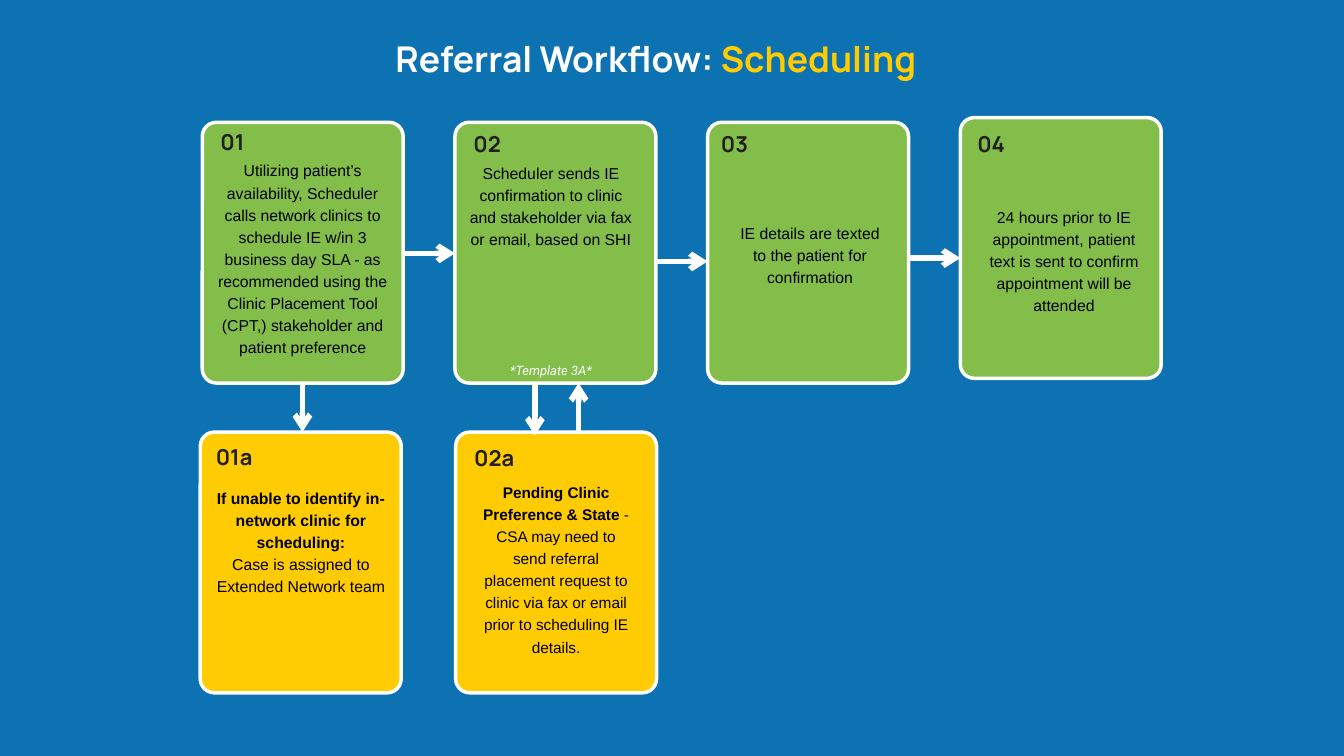
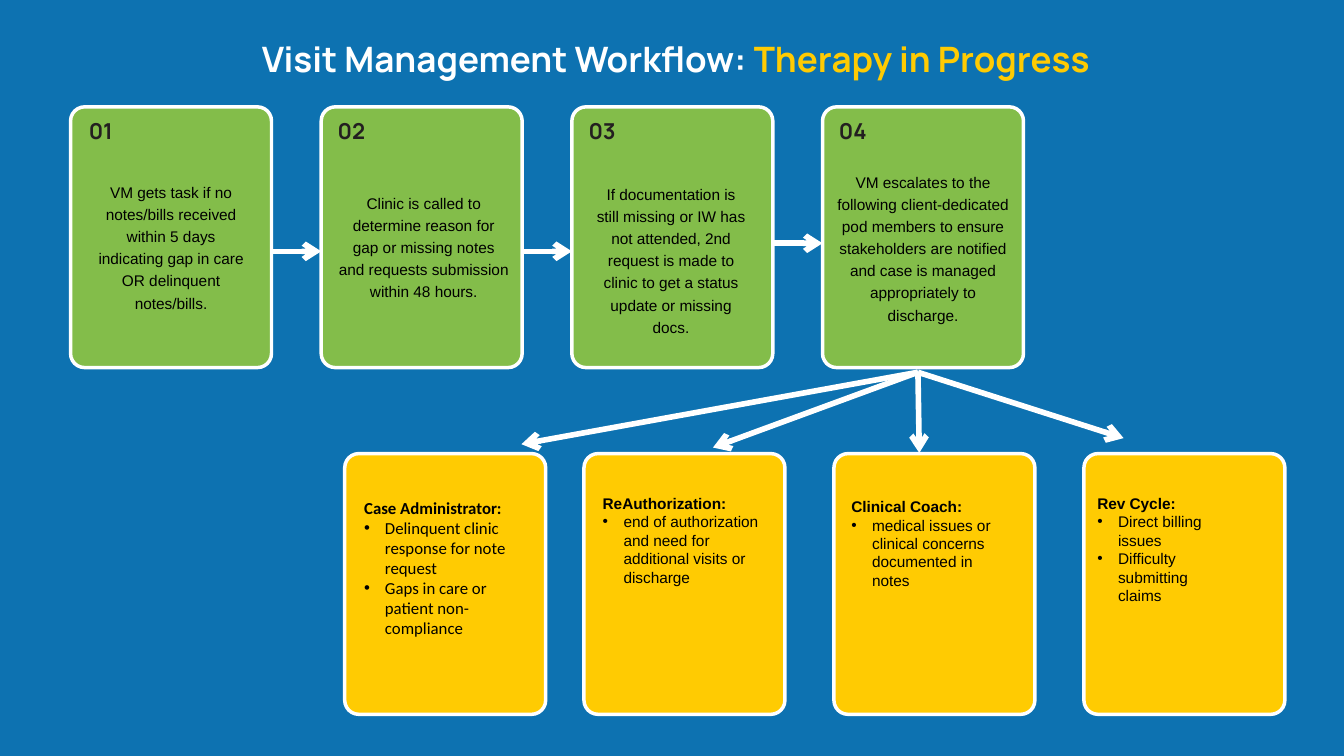
from dataclasses import dataclass

from lxml import etree
from pptx import Presentation
from pptx.dml.color import RGBColor
from pptx.enum.shapes import MSO_CONNECTOR, MSO_SHAPE
from pptx.enum.text import PP_ALIGN
from pptx.oxml.ns import qn
from pptx.util import Inches, Pt

ROUNDED = MSO_SHAPE.ROUNDED_RECTANGLE
STRAIGHT = MSO_CONNECTOR.STRAIGHT
LEFT, CENTER = PP_ALIGN.LEFT, PP_ALIGN.CENTER

SLIDE_W, SLIDE_H = 20, 11.25
CARD_W, CARD_H = 2.99, 3.88
CORNER = 0.07


@dataclass(frozen=True)
class Theme:
    blue: str = "0D72B1"
    green: str = "83BD4A"
    yellow: str = "FFCB02"
    white: str = "FFFFFF"
    black: str = "000000"
    ink: str = "231F20"
    display: str = "Manrope"
    body: str = "Arial"
    note: str = "Roboto"
    tag_size: float = 23.5
    tag_leading: float = 32.9
    step_size: float = 16.9
    small_size: float = 16.5
    body_leading: float = 23.7
    note_size: float = 13.9
    note_leading: float = 19.5
    title_leading: float = 53.2
    border: float = 3.75
    arrow: float = 6


T = Theme()


@dataclass(frozen=True)
class Row:
    """A row of cards with equal spacing."""
    left: float
    top: float
    pitch: float
    fill: str

    def x(self, col):
        return self.left + col * self.pitch


def rgb(value):
    return RGBColor.from_string(value)


def add_bullet(p, indent=0.31):
    pPr = p._p.get_or_add_pPr()
    pPr.set("marL", str(Inches(indent)))
    pPr.set("indent", str(-Inches(indent)))
    etree.SubElement(pPr, qn("a:buFont"), typeface="Arial")
    etree.SubElement(pPr, qn("a:buChar"), char="•")


def add_text(slide, x, y, w, h, paras, size=T.step_size, font=T.body,
             color=T.black, bold=False, italic=False, align=CENTER,
             leading=None, inset=True, bullets=False):
    """Each paragraph is a string or a list of (text, format changes)."""
    box = slide.shapes.add_textbox(Inches(x), Inches(y), Inches(w), Inches(h))
    tf = box.text_frame
    tf.word_wrap = True
    if not inset:
        tf.margin_left = tf.margin_right = tf.margin_top = tf.margin_bottom = 0
    for i, para in enumerate(paras):
        p = tf.paragraphs[0] if i == 0 else tf.add_paragraph()
        if bullets and i > 0:
            add_bullet(p)
        p.alignment = align
        if leading:
            p.line_spacing = Pt(leading)
        for text, change in [(para, {})] if isinstance(para, str) else para:
            r = p.add_run()
            r.text = text
            r.font.name = font
            r.font.size = Pt(size)
            r.font.bold = change.get("bold", bold)
            r.font.italic = italic
            r.font.color.rgb = rgb(change.get("color", color))


def add_title(slide, topic, stage, size, center):
    w = 0.9 * SLIDE_W
    add_text(slide, center - w / 2, 0.44, w, 0.71,
             [[(topic + ": ", {}), (stage, {"color": T.yellow})]],
             size=size, font=T.display, color=T.white, bold=True,
             leading=T.title_leading, inset=False)


def add_card(slide, row, col, dx=0, dy=0):
    """Draw a card and return its left and top."""
    x, y = row.x(col) + dx, row.top + dy
    sp = slide.shapes.add_shape(ROUNDED, Inches(x), Inches(y),
                                Inches(CARD_W), Inches(CARD_H))
    sp.adjustments[0] = CORNER
    sp.shadow.inherit = False
    sp.fill.solid()
    sp.fill.fore_color.rgb = rgb(row.fill)
    sp.line.color.rgb = rgb(T.white)
    sp.line.width = Pt(T.border)
    return x, y


def add_step(slide, row, col, tag, paras, at, lines, size=T.step_size,
             tag_at=(0.19, 0.1), tag_w=0.52, dy=0):
    """Numbered card; at is the text's left, top and width inside it."""
    x, y = add_card(slide, row, col, dy=dy)
    add_text(slide, x + tag_at[0], y + tag_at[1], tag_w, 0.46, [tag],
             size=T.tag_size, font=T.display, color=T.ink, bold=True,
             leading=T.tag_leading, inset=False)
    left, top, w = at
    add_text(slide, x + left, y + top, w, lines * T.body_leading / 72, paras,
             size=size, leading=T.body_leading, inset=False)


def add_team(slide, row, col, name, duties, at, dx=0, font=T.body,
             size=T.small_size):
    """Card with a bold heading and bulleted duties."""
    x, y = add_card(slide, row, col, dx=dx)
    left, top, w = at
    add_text(slide, x + left, y + top, w, 2.2,
             [[(name + ":", {"bold": True})], *duties],
             size=size, font=font, align=LEFT, bullets=True)


def add_arrow(slide, x1, y1, x2, y2):
    c = slide.shapes.add_connector(STRAIGHT, Inches(x1), Inches(y1),
                                   Inches(x2), Inches(y2))
    c.line.color.rgb = rgb(T.white)
    c.line.width = Pt(T.arrow)
    etree.SubElement(c.line._get_or_add_ln(), qn("a:tailEnd"), type="arrow")
    etree.SubElement(c._element.spPr, qn("a:effectLst"))


def link_row(slide, row, heights):
    """Join neighbouring cards with arrows at the given heights."""
    for col, y in enumerate(heights):
        add_arrow(slide, row.x(col) + CARD_W, y, row.x(col + 1), y)


def new_slide(prs):
    slide = prs.slides.add_slide(prs.slide_layouts[6])
    slide.background.fill.solid()
    slide.background.fill.fore_color.rgb = rgb(T.blue)
    return slide


def build_scheduling(prs):
    s = new_slide(prs)
    add_title(s, "Referral Workflow", "Scheduling", 38, 9.76)
    steps = Row(3.01, 1.82, 3.76, T.green)
    branches = Row(2.98, 6.43, 3.8, T.yellow)

    # Main steps
    add_step(s, steps, 0, "01",
             ["Utilizing patient’s availability, Scheduler calls network "
              "clinics to schedule IE w/in 3 business day SLA - as recommended "
              "using the Clinic Placement Tool (CPT,) stakeholder and patient "
              "preference"],
             (0.22, 0.53, 2.55), 9, tag_at=(0.19, 0.03))
    add_step(s, steps, 1, "02",
             ["Scheduler sends IE confirmation to clinic and stakeholder via "
              "fax or email, based on SHI"],
             (0.21, 0.57, 2.44), 4, tag_at=(0.2, 0.06), tag_w=0.56)
    add_text(s, steps.x(1) + 0.21, 5.35, 2.44, 0.27, ["*Template 3A*"],
             size=T.note_size, font=T.note, color=T.white, italic=True,
             leading=T.note_leading, inset=False)
    add_step(s, steps, 2, "03",
             ["IE details are texted to the patient for confirmation"],
             (0.38, 1.46, 2.29), 3, tag_at=(0.14, 0.06))
    add_step(s, steps, 3, "04",
             ["24 hours prior to IE appointment, patient text is sent to "
              "confirm appointment will be attended"],
             (0.4, 1.29, 2.29), 5, tag_at=(0.2, 0.13), dy=-0.07)

    # Branches
    add_step(s, branches, 0, "01a",
             [[("If unable to identify in-network clinic for scheduling:",
                {"bold": True})],
              "Case is assigned to Extended Network team"],
             (0.23, 0.79, 2.54), 5, tag_at=(0.12, 0.1), tag_w=0.77)
    add_step(s, branches, 1, "02a",
             [[("Pending Clinic Preference & State", {"bold": True}),
               (" - CSA may need to send referral placement request to clinic "
                "via fax or email prior to scheduling IE details.", {})]],
             (0.35, 0.7, 2.29), 8, size=T.small_size,
             tag_at=(0.19, 0.12), tag_w=0.77)

    # Arrows
    link_row(s, steps, [3.77, 3.89, 3.84])
    bottom = steps.top + CARD_H
    add_arrow(s, 4.5, bottom, 4.5, branches.top)
    add_arrow(s, 7.96, bottom, 7.96, branches.top + 0.05)
    add_arrow(s, 8.61, branches.top, 8.61, bottom)


def build_therapy(prs):
    s = new_slide(prs)
    add_title(s, "Visit Management Workflow", "Therapy in Progress", 37.5, 10.06)
    steps = Row(1.05, 1.59, 3.73, T.green)
    teams = Row(4.97, 6.75, 3.72, T.yellow)

    # Main steps
    contents = [
        ("VM gets task if no notes/bills received within 5 days indicating gap "
         "in care OR delinquent notes/bills.", (0.35, 1.08, 2.29), 6),
        ("Clinic is called to determine reason for gap or missing notes and "
         "requests submission within 48 hours.", (0.26, 1.24, 2.53), 5),
        ("If documentation is still missing or IW has not attended, "
         "2nd request is made to clinic to get a status update or missing "
         "docs.", (0.33, 1.11, 2.29), 7),
        ("VM escalates to the following client-dedicated pod members to "
         "ensure stakeholders are notified and case is managed appropriately "
         "to discharge.", (0.17, 0.93, 2.65), 7),
    ]
    for col, (text, at, lines) in enumerate(contents):
        add_step(s, steps, col, f"{col + 1:02}", [text], at, lines,
                 size=T.small_size)

    # Teams that take over
    add_team(s, teams, 0, "Case Administrator",
             ["Delinquent clinic response for note request",
              "Gaps in care or patient non-compliance"],
             (0.19, 0.6, 2.39), dx=0.16, font="Calibri", size=18)
    add_team(s, teams, 1, "ReAuthorization",
             ["end of authorization and need for additional visits or "
              "discharge"], (0.18, 0.55, 2.61))
    add_team(s, teams, 2, "Clinical Coach",
             ["medical issues or clinical concerns documented in notes"],
             (0.16, 0.6, 2.37))
    add_team(s, teams, 3, "Rev Cycle",
             ["Direct billing issues", "Difficulty submitting claims"],
             (0.1, 0.55, 2.22))

    # Arrows
    link_row(s, steps, [3.74, 3.74, 3.62])
    for x, y in [(7.76, 6.61), (10.61, 6.66), (13.68, 6.74), (16.72, 6.52)]:
        add_arrow(s, 13.66, 5.54, x, y)


def main():
    prs = Presentation()
    prs.slide_width, prs.slide_height = Inches(SLIDE_W), Inches(SLIDE_H)
    build_scheduling(prs)
    build_therapy(prs)
    prs.save("out.pptx")


if __name__ == "__main__":
    main()
